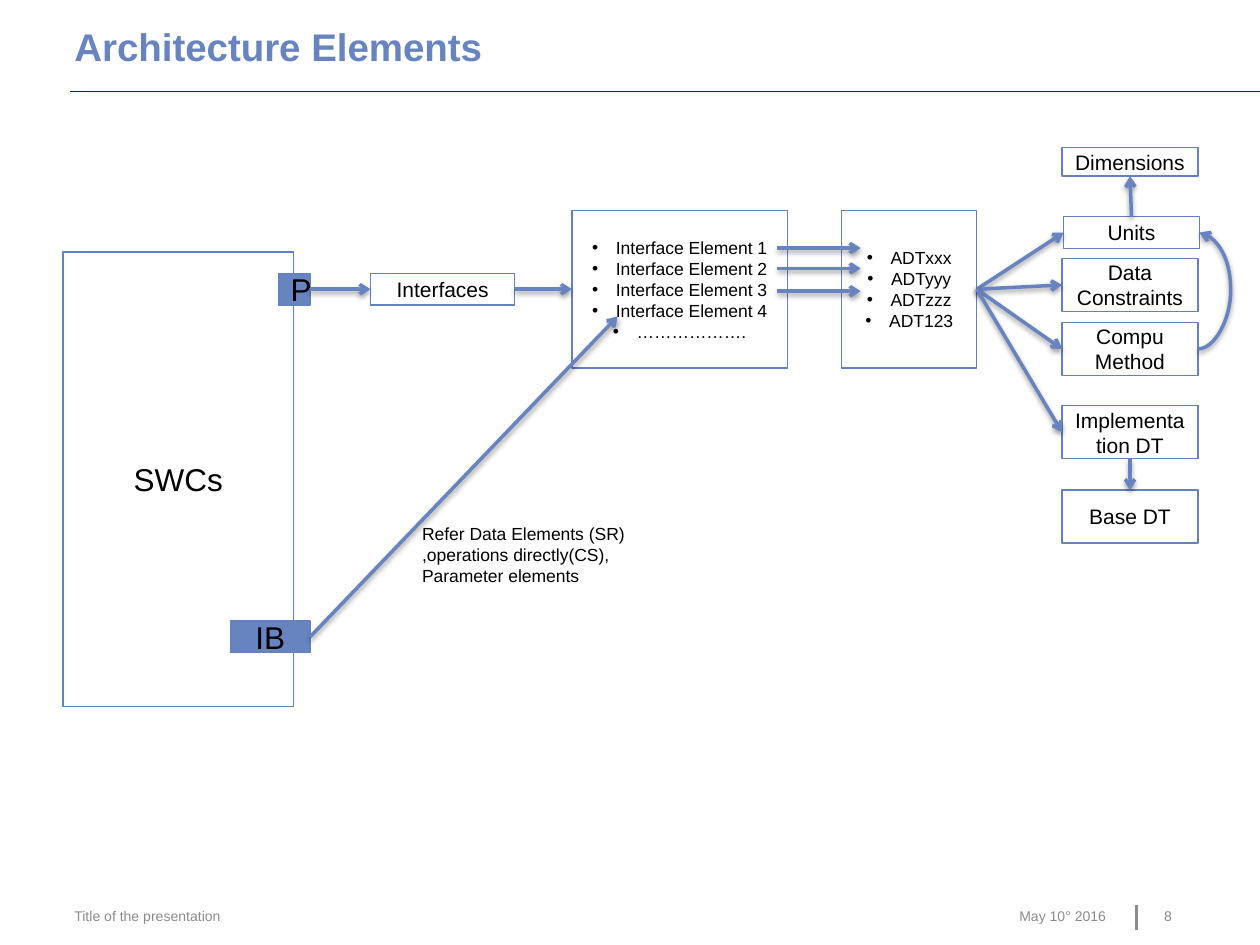
"""Build the Architecture Elements slide: boxes, bullet lists and arrows."""
from pptx import Presentation
from pptx.dml.color import RGBColor
from pptx.enum import shapes as es, text as et
from pptx.oxml import parse_xml
from pptx.oxml.ns import nsdecls
from pptx.util import Cm, Pt

THEME = dict(font="Arial", ink="000000", main="6784C1", edge="6380BF",
             gray="898C8A", navy="012169",
             head=22, large=18, mid=12, list=10, foot=8,
             thin=0.75, arrow=2, rule=0.1, bar=1.5)

TITLE = "Architecture Elements"
COL, WIDE, TALL = 21.41, 2.74, 1.07
BOXES = {
    "swc": (["SWCs"], (1.27, 5.08, 4.65, 9.17), "large"),
    "port": (["P"], (5.61, 5.51, 0.64, 0.64), "large"),
    "ib": (["IB"], (4.65, 12.52, 1.6, 0.64), "large"),
    "face": (["Interfaces"], (7.47, 5.51, 2.91, 0.64), "mid"),
    "items": ([f"Interface Element {n}" for n in range(1, 5)] + ["………………."],
              (11.53, 4.24, 4.34, 3.18), "list"),
    "types": (["ADTxxx", "ADTyyy", "ADTzzz", "ADT123"],
              (16.97, 4.24, 2.72, 3.18), "list"),
    "units": (["Units"], (21.44, 4.37, WIDE, 0.64), "mid"),
    "dims": (["Dimensions"], (COL, 2.97, WIDE, 0.58), "mid"),
    "data": (["Data Constraints"], (COL, 5.21, WIDE, TALL), "mid"),
    "compu": (["Compu", "Method"], (COL, 6.5, WIDE, TALL), "mid"),
    "impl": (["Implementation DT"], (COL, 8.18, WIDE, TALL), "mid"),
    "base": (["Base DT"], (COL, 9.88, WIDE, TALL), "mid"),
}
FILLED = ("port", "ib")
TOP, LEFT, BOTTOM, RIGHT = range(4)
LINKS = [("port", RIGHT, "face", LEFT), ("face", RIGHT, "items", LEFT),
         ("units", TOP, "dims", BOTTOM), ("impl", BOTTOM, "base", TOP)]
LINKS += [("types", RIGHT, name, LEFT)
          for name in ("units", "data", "compu", "impl")]
ROWS = (5.0, 5.41, 5.87)
SPAN = (15.67, 17.35)
REFER = (12.45, 6.38)
BULGE = 0.66
NOTE = "Refer Data Elements (SR) ,operations directly(CS), Parameter elements"
FOOT = [("Title of the presentation", (1.5, 18.29, 10.49, 0.66), "LEFT"),
        ("May 10° 2016", (18.36, 18.29, 3.94, 0.58), "RIGHT"),
        ("8", (23.47, 18.29, 0.89, 0.56), "LEFT")]
RULES = [((22.91, 18.24), (22.91, 18.75), "gray", "bar"),
         ((1.42, 1.83), (25.4, 1.83), "navy", "rule")]


def paint(name):
    return RGBColor.from_string(THEME[name])


def place(shape, area):
    shape.left, shape.top, shape.width, shape.height = map(Cm, area)


def write(shape, lines, size, color="ink", align="LEFT", bold=False):
    frame = shape.text_frame
    frame.word_wrap = True
    frame.text = "\n".join(lines)
    for para in frame.paragraphs:
        para.alignment = getattr(et.PP_ALIGN, align)
        font = para.runs[0].font
        font.name, font.size, font.bold = THEME["font"], Pt(THEME[size]), bold
        font.color.rgb = paint(color)
    return frame


def trim(frame):
    frame.margin_left = frame.margin_right = 0
    frame.margin_top = frame.margin_bottom = 0


def bullet(para):
    props = para._p.get_or_add_pPr()
    props.set("marL", str(Cm(0.48)))
    props.set("indent", str(-Cm(0.48)))
    props.append(parse_xml(f'<a:buFont {nsdecls("a")} typeface="Arial"/>'))
    props.append(parse_xml(f'<a:buChar {nsdecls("a")} char="•"/>'))


def add_box(slide, name):
    lines, area, size = BOXES[name]
    box = slide.shapes.add_shape(es.MSO_SHAPE.RECTANGLE, *map(Cm, area))
    box.shadow.inherit = False
    if name in FILLED:
        box.fill.solid()
        box.fill.fore_color.rgb = paint("main")
    else:
        box.fill.background()
    box.line.color.rgb = paint("edge")
    box.line.width = Pt(THEME["thin"])
    frame = write(box, lines, size, align="CENTER")
    frame.vertical_anchor = et.MSO_ANCHOR.MIDDLE
    if size == "list":
        for para in frame.paragraphs:
            bullet(para)
    return box


def add_line(slide, start=(0, 0), end=(0, 0), color="main", width="arrow",
             kind="STRAIGHT"):
    line = slide.shapes.add_connector(getattr(es.MSO_CONNECTOR, kind),
                                      *map(Cm, start + end))
    line.line.color.rgb = paint(color)
    line.line.width = Pt(THEME[width])
    glow = ""
    if width == "arrow":
        line.line._get_or_add_ln().append(
            parse_xml(f'<a:tailEnd {nsdecls("a")} type="arrow"/>'))
        glow = (f'<a:outerShdw blurRad="{Pt(3.1)}" dist="{Pt(1.6)}" '
                'dir="5400000" rotWithShape="0"><a:srgbClr val="000000">'
                '<a:alpha val="38000"/></a:srgbClr></a:outerShdw>')
    line._element.spPr.append(
        parse_xml(f'<a:effectLst {nsdecls("a")}>{glow}</a:effectLst>'))
    return line


def join(line, first, side, last, edge):
    line.begin_connect(first, side)
    line.end_connect(last, edge)


def add_curve(slide, first, last):
    line = add_line(slide, kind="CURVE")
    join(line, first, RIGHT, last, RIGHT)
    bend = round(Cm(BULGE) / line.width * 100000)
    guides = line._element.spPr.prstGeom.get_or_add_avLst()
    guides.append(parse_xml(
        f'<a:gd {nsdecls("a")} name="adj1" fmla="val {bend}"/>'))


def main():
    deck = Presentation()
    deck.slide_width, deck.slide_height = Cm(25.4), Cm(19.05)
    slide = deck.slides.add_slide(deck.slide_layouts[5])

    for rule in RULES:
        add_line(slide, *rule)
    title = slide.shapes.title
    place(title, (1.5, 0.56, 16.81, 0.89))
    frame = write(title, [TITLE], "head", "main", bold=True)
    trim(frame)
    frame.auto_size = et.MSO_AUTO_SIZE.NONE
    frame.vertical_anchor = et.MSO_ANCHOR.MIDDLE
    frame.paragraphs[0].line_spacing = Pt(THEME["head"])
    for words, area, align in FOOT:
        box = slide.shapes.add_textbox(*map(Cm, area))
        trim(write(box, [words], "foot", "gray", align))

    boxes = {name: add_box(slide, name) for name in BOXES}
    for first, side, last, edge in LINKS:
        join(add_line(slide), boxes[first], side, boxes[last], edge)
    add_curve(slide, boxes["compu"], boxes["units"])
    add_line(slide, end=REFER).begin_connect(boxes["ib"], RIGHT)
    for row in ROWS:
        add_line(slide, (SPAN[0], row), (SPAN[1], row))
    note = slide.shapes.add_textbox(*map(Cm, (8.26, 10.41, 4.6, 1.55)))
    write(note, [NOTE], "list")
    deck.save("out.pptx")


if __name__ == "__main__":
    main()
